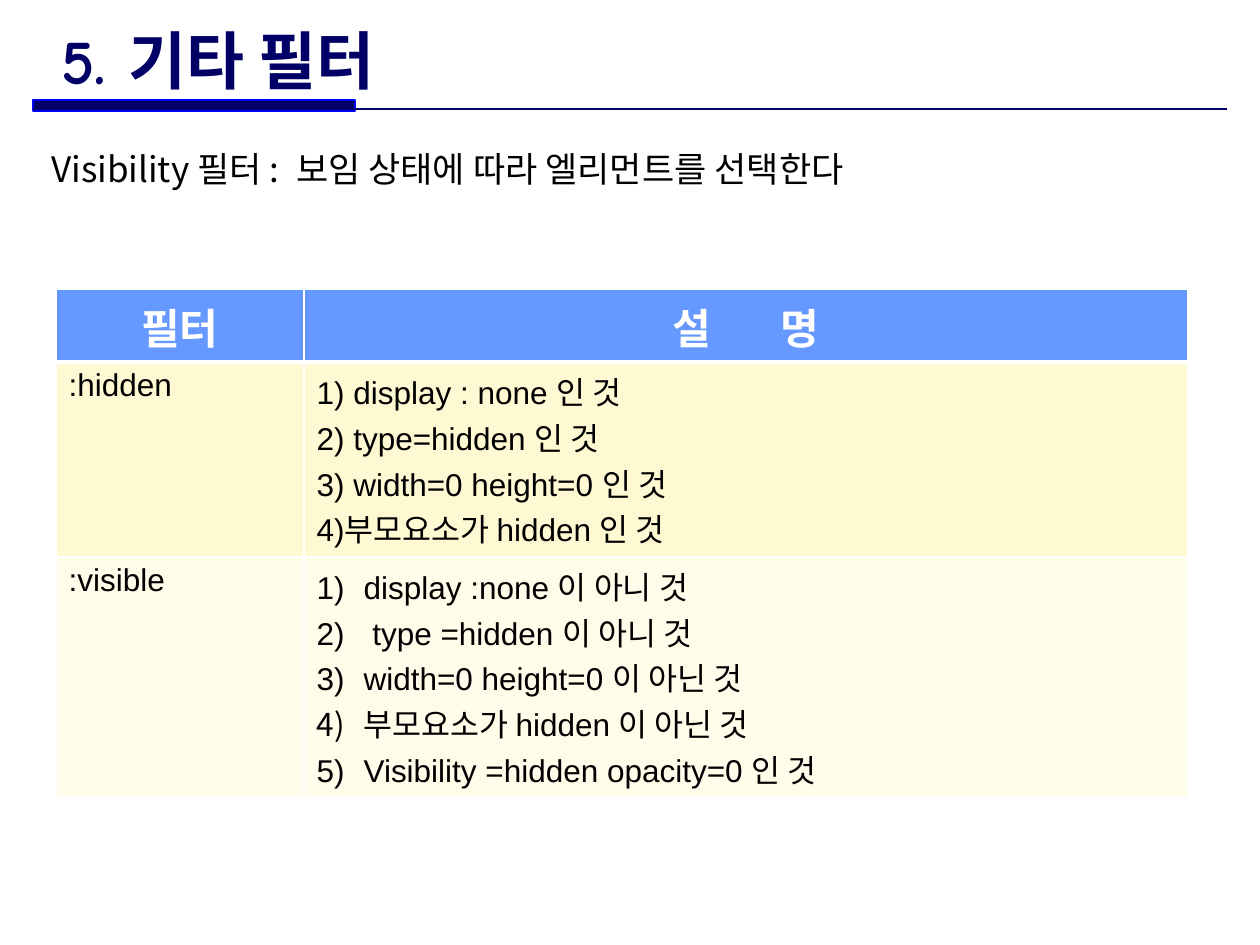
from dataclasses import dataclass
from typing import NamedTuple

from lxml import etree
from pptx import Presentation
from pptx import util as u
from pptx.dml import color
from pptx.enum import shapes, text
from pptx.oxml import ns

EMU_PER_PX = 914400 // 126
COLORS = {
    "navy": "000066", "blue": "0000FF", "header": "6699FF", "black": "000000",
    "white": "FFFFFF", "cream": "FFF9D3", "ivory": "FFFCEA",
}
KOREAN = "Noto Sans CJK KR"
HANGING = 47


class Box(NamedTuple):
    """A rectangle in pixels."""
    x: int
    y: int
    w: int
    h: int


class Run(NamedTuple):
    """A piece of text with extra letter spacing in points."""
    words: str
    tracking: int = 0


@dataclass(frozen=True)
class Style:
    """The look of a piece of text."""
    size: int
    font: str
    color: str = "black"
    bold: bool = False


@dataclass(frozen=True)
class Row:
    """One table row: a filter and the lines that describe it."""
    height: int
    name: str
    lines: list[list[Run]]
    fill: str
    style: Style
    numbered: bool = False
    header: bool = False


TITLE = Style(36, "Comic Neue", "navy", True)
BODY = Style(20, KOREAN)
HEAD = Style(24, "Arial", "white", True)
CELL = Style(18, "Arial")

ROWS = [
    Row(73, "필터", [[Run("설"), Run(" ", 34), Run("명")]], "header", HEAD, header=True),
    Row(195, ":hidden", [[Run(t)] for t in (
        "1) display : none 인 것",
        "2) type=hidden 인 것",
        "3) width=0 height=0 인 것",
        "4)부모요소가 hidden 인 것",
    )], "cream", CELL),
    Row(240, ":visible", [[Run(t)] for t in (
        "display :none 이 아니 것",
        " type =hidden 이 아니 것",
        "width=0 height=0 이 아닌 것",
        "부모요소가 hidden 이 아닌 것",
        "Visibility =hidden opacity=0 인 것",
    )], "ivory", CELL, numbered=True),
]


def px(n: int) -> u.Emu:
    """Turn pixels into EMU."""
    return u.Emu(n * EMU_PER_PX)


def rgb(name: str) -> color.RGBColor:
    """Look up a named colour."""
    return color.RGBColor.from_string(COLORS[name])


def add_run(p, run: Run, style: Style) -> None:
    """Append one styled run to a paragraph."""
    r = p.add_run()
    r.text = run.words
    f = r.font
    f.size, f.name, f.bold = u.Pt(style.size), style.font, style.bold
    f.color.rgb = rgb(style.color)
    rpr = r._r.get_or_add_rPr()
    latin = rpr.find(ns.qn("a:latin"))
    ea = etree.Element(ns.qn("a:ea"), typeface=KOREAN)
    latin.addnext(ea)
    if run.tracking:
        rpr.set("spc", str(run.tracking * 100))


def hang(p, numbered: bool = False) -> None:
    """Give a paragraph a hanging indent and, if asked, a number."""
    ppr = p._p.get_or_add_pPr()
    ppr.set("marL", str(px(HANGING)))
    ppr.set("indent", str(-px(HANGING)))
    if numbered:
        etree.SubElement(ppr, ns.qn("a:buFont"), typeface="Arial")
        etree.SubElement(ppr, ns.qn("a:buAutoNum"), type="arabicParenR")


def add_text(slide, box: Box, runs: list[Run], style: Style, anchor):
    """Add a one-paragraph text box and return its paragraph."""
    tf = slide.shapes.add_textbox(*map(px, box)).text_frame
    tf.word_wrap, tf.vertical_anchor = True, anchor
    p = tf.paragraphs[0]
    for run in runs:
        add_run(p, run, style)
    return p


def add_title_rule(slide) -> None:
    """Draw the thick bar and the thin line below the title."""
    sp = slide.shapes.add_shape(shapes.MSO_SHAPE.RECTANGLE, *map(px, Box(33, 100, 322, 11)))
    sp.shadow.inherit = False
    sp.fill.solid()
    sp.fill.fore_color.rgb = rgb("navy")
    sp.line.color.rgb, sp.line.width = rgb("blue"), u.Pt(0.75)
    line = slide.shapes.add_connector(
        shapes.MSO_CONNECTOR.STRAIGHT, px(33), px(109), px(1227), px(109))
    line.line.color.rgb, line.line.width = rgb("navy"), u.Pt(1.5)
    etree.SubElement(line._element.spPr, ns.qn("a:effectLst"))


def add_borders(cell, bottom: int) -> None:
    """Give a cell white borders, with its own bottom width in points."""
    tcpr = cell._tc.get_or_add_tcPr()
    for side, width in {"L": 1, "R": 1, "T": 1, "B": bottom}.items():
        ln = etree.SubElement(tcpr, ns.qn(f"a:ln{side}"), w=str(u.Pt(width)))
        fill = etree.SubElement(ln, ns.qn("a:solidFill"))
        etree.SubElement(fill, ns.qn("a:srgbClr"), val=COLORS["white"])


def fill_cell(cell, lines: list[list[Run]], row: Row, numbered: bool = False) -> None:
    """Write the lines of a cell and set its borders and fill."""
    add_borders(cell, 3 if row.header else 1)
    cell.fill.solid()
    cell.fill.fore_color.rgb = rgb(row.fill)
    tf = cell.text_frame
    for i, runs in enumerate(lines):
        p = tf.add_paragraph() if i else tf.paragraphs[0]
        p.alignment = text.PP_ALIGN.CENTER if row.header else text.PP_ALIGN.LEFT
        if numbered:
            hang(p, numbered=True)
        for run in runs:
            add_run(p, run, row.style)


def add_filter_table(slide) -> None:
    """Build the table of filters."""
    widths = (248, 884)
    height = sum(row.height for row in ROWS)
    box = Box(56, 289, sum(widths), height)
    table = slide.shapes.add_table(len(ROWS), len(widths), *map(px, box)).table
    for column, width in zip(table.columns, widths):
        column.width = px(width)
    for i, row in enumerate(ROWS):
        table.rows[i].height = px(row.height)
        fill_cell(table.cell(i, 0), [[Run(row.name)]], row)
        fill_cell(table.cell(i, 1), row.lines, row, row.numbered)


def main() -> None:
    """Build and save the slide."""
    prs = Presentation()
    prs.slide_width, prs.slide_height = px(1260), px(945)
    slide = prs.slides.add_slide(prs.slide_layouts[6])
    add_title_rule(slide)
    intro = [Run("Visibility 필터 :"), Run(" ", 5), Run("보임 상태에 따라 엘리먼트를 선택한다")]
    p = add_text(slide, Box(39, 141, 1188, 757), intro, BODY, text.MSO_ANCHOR.TOP)
    p.line_spacing = 1.0
    hang(p)
    add_text(slide, Box(49, 26, 856, 66), [Run("5. 기타 필터")], TITLE, text.MSO_ANCHOR.MIDDLE)
    add_filter_table(slide)
    prs.save("out.pptx")


main()
